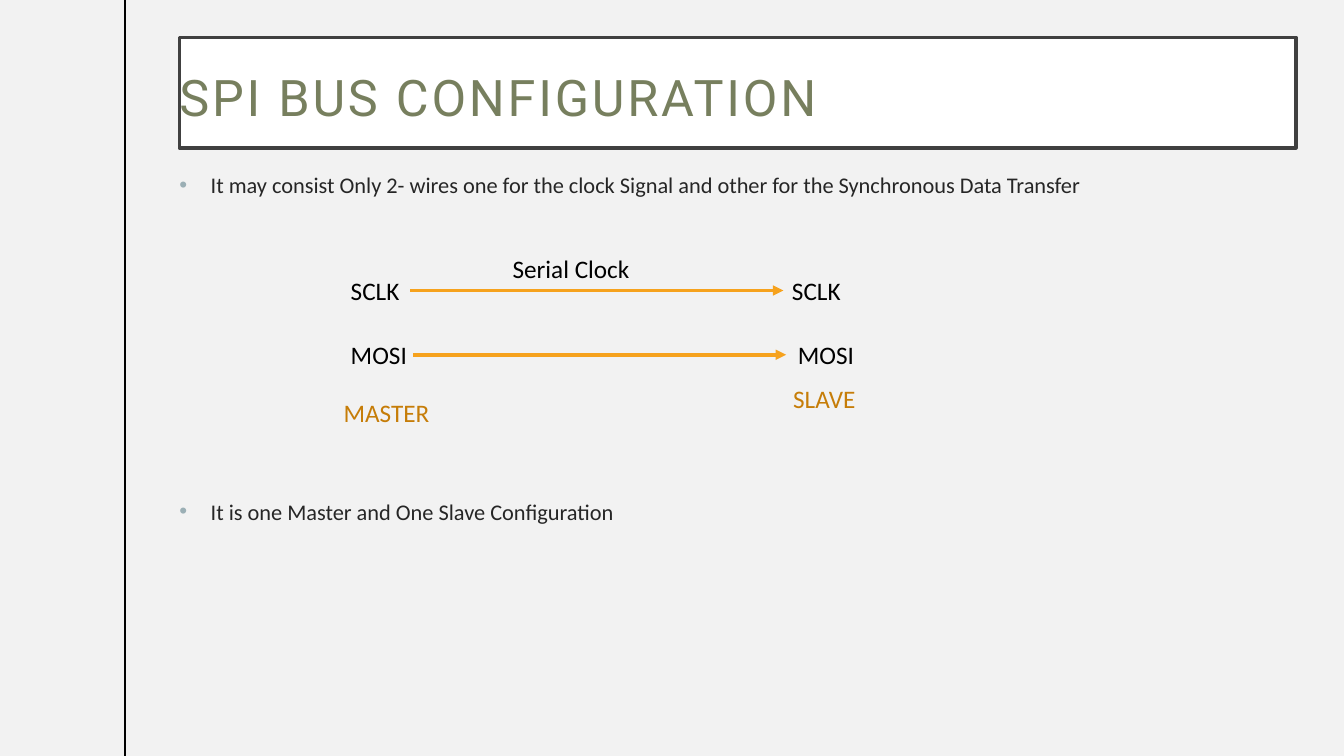
from dataclasses import dataclass

from lxml.etree import SubElement
from pptx import Presentation
from pptx.dml.color import RGBColor
from pptx.enum.shapes import MSO_CONNECTOR, MSO_SHAPE
from pptx.enum.text import MSO_ANCHOR, MSO_AUTO_SIZE, PP_ALIGN
from pptx.oxml.ns import qn
from pptx.shapes.connector import Connector
from pptx.slide import Slide
from pptx.text.text import TextFrame, _Paragraph
from pptx.util import Cm, Pt

BLACK = "000000"
DARK = "262626"
OCHRE = "C67D08"
ORANGE = "F6A21D"
BULLET = "9BAFB5"
CONTENT_LEFT, CONTENT_WIDTH = 4.52, 28.14
CLOCK_Y, DATA_Y = 7.32, 8.94
LABEL_HEIGHT, LABEL_RISE = 1.02, 0.51


@dataclass
class Label:
    text: str
    left: float
    top: float
    width: float
    color: str = BLACK
    wrap: bool = False


@dataclass
class Wire:
    start: float
    end: float
    y: float


@dataclass
class Point:
    text: str
    space_before: float


LABELS = [
    Label("SCLK", 8.59, CLOCK_Y - LABEL_RISE, 1.75),
    Label("MOSI", 8.59, DATA_Y - LABEL_RISE, 1.93),
    Label("Serial Clock", 12.67, 6.27, 3.48),
    Label("SCLK", 19.71, CLOCK_Y - LABEL_RISE, 1.75),
    Label("MOSI", 19.86, DATA_Y - LABEL_RISE, 1.93),
    Label("MASTER", 8.41, 9.88, 2.95, OCHRE, True),
    Label("SLAVE", 19.74, 9.53, 2.95, OCHRE, True),
]
WIRES = [Wire(10.34, 19.74, CLOCK_Y), Wire(10.41, 19.81, DATA_Y)]
POINTS = [
    Point("It may consist Only 2- wires one for the clock Signal and other "
          "for the Synchronous Data Transfer", 0),
    Point("It is one Master and One Slave Configuration", 214),
]


def rgb(value: str) -> RGBColor:
    return RGBColor.from_string(value)


def add_run(paragraph: _Paragraph, text: str, size: float, color: str,
            font: str = "Calibri", tracking: float = 0) -> None:
    """Add one run; tracking is the letter spacing in points."""
    run = paragraph.add_run()
    run.text = text
    run.font.size = Pt(size)
    run.font.name = font
    run.font.color.rgb = rgb(color)
    if tracking:
        run.font._element.set("spc", str(round(tracking * 100)))


def set_margins(frame: TextFrame, vertical: float) -> None:
    frame.margin_left = frame.margin_right = Cm(0)
    frame.margin_top = frame.margin_bottom = Cm(vertical)


def add_line(slide: Slide, x1: float, y1: float, x2: float, y2: float,
             color: str, width: float) -> Connector:
    line = slide.shapes.add_connector(
        MSO_CONNECTOR.STRAIGHT, Cm(x1), Cm(y1), Cm(x2), Cm(y2))
    line.line.color.rgb = rgb(color)
    line.line.width = Pt(width)
    SubElement(line._element.spPr, qn("a:effectLst"))
    return line


def add_wire(slide: Slide, wire: Wire) -> None:
    arrow = add_line(slide, wire.start, wire.y, wire.end, wire.y, ORANGE, 2.5)
    SubElement(arrow.line._get_or_add_ln(), qn("a:tailEnd"), type="triangle")


def add_label(slide: Slide, label: Label) -> None:
    box = slide.shapes.add_textbox(
        Cm(label.left), Cm(label.top), Cm(label.width), Cm(LABEL_HEIGHT))
    frame = box.text_frame
    frame.word_wrap = label.wrap
    frame.auto_size = MSO_AUTO_SIZE.SHAPE_TO_FIT_TEXT
    add_run(frame.paragraphs[0], label.text, 18, label.color)


def add_title(slide: Slide, text: str) -> None:
    title = slide.shapes.add_shape(
        MSO_SHAPE.RECTANGLE, Cm(CONTENT_LEFT), Cm(0.94),
        Cm(CONTENT_WIDTH), Cm(2.79))
    title.shadow.inherit = False
    title.fill.solid()
    title.fill.fore_color.rgb = rgb("FFFFFF")
    title.line.color.rgb = rgb("404040")
    title.line.width = Pt(2.5)
    frame = title.text_frame
    frame.word_wrap = True
    frame.vertical_anchor = MSO_ANCHOR.BOTTOM
    set_margins(frame, 0.51)
    heading = frame.paragraphs[0]
    heading.alignment = PP_ALIGN.LEFT
    heading.line_spacing = 0.9
    add_run(heading, text, 36, "777F5E", "Roboto", 2)


def add_bullet(paragraph: _Paragraph) -> None:
    properties = paragraph._p.get_or_add_pPr()
    properties.set("marL", str(Cm(0.79)))
    properties.set("indent", str(-Cm(0.79)))
    bullet_color = SubElement(properties, qn("a:buClr"))
    SubElement(bullet_color, qn("a:srgbClr"), val=BULLET)
    SubElement(properties, qn("a:buFont"), typeface="Arial")
    SubElement(properties, qn("a:buChar"), char="•")


def add_points(slide: Slide, points: list[Point]) -> None:
    body = slide.shapes.add_textbox(
        Cm(CONTENT_LEFT), Cm(4.19), Cm(CONTENT_WIDTH), Cm(13.46))
    frame = body.text_frame
    frame.word_wrap = True
    set_margins(frame, 0.13)
    for index, point in enumerate(points):
        paragraph = frame.add_paragraph() if index else frame.paragraphs[0]
        add_bullet(paragraph)
        if point.space_before:
            paragraph.space_before = Pt(point.space_before)
        add_run(paragraph, point.text, 16, DARK)


def main() -> None:
    deck = Presentation()
    deck.slide_width, deck.slide_height = Cm(33.87), Cm(19.05)
    slide = deck.slides.add_slide(deck.slide_layouts[6])
    slide.background.fill.solid()
    slide.background.fill.fore_color.rgb = rgb("F2F2F2")

    add_line(slide, 3.15, 0, 3.15, 19.05, BLACK, 1)
    add_title(slide, "SPI BUS CONFIGURATION")
    add_points(slide, POINTS)
    for wire in WIRES:
        add_wire(slide, wire)
    for label in LABELS:
        add_label(slide, label)
    deck.save("out.pptx")


if __name__ == "__main__":
    main()
